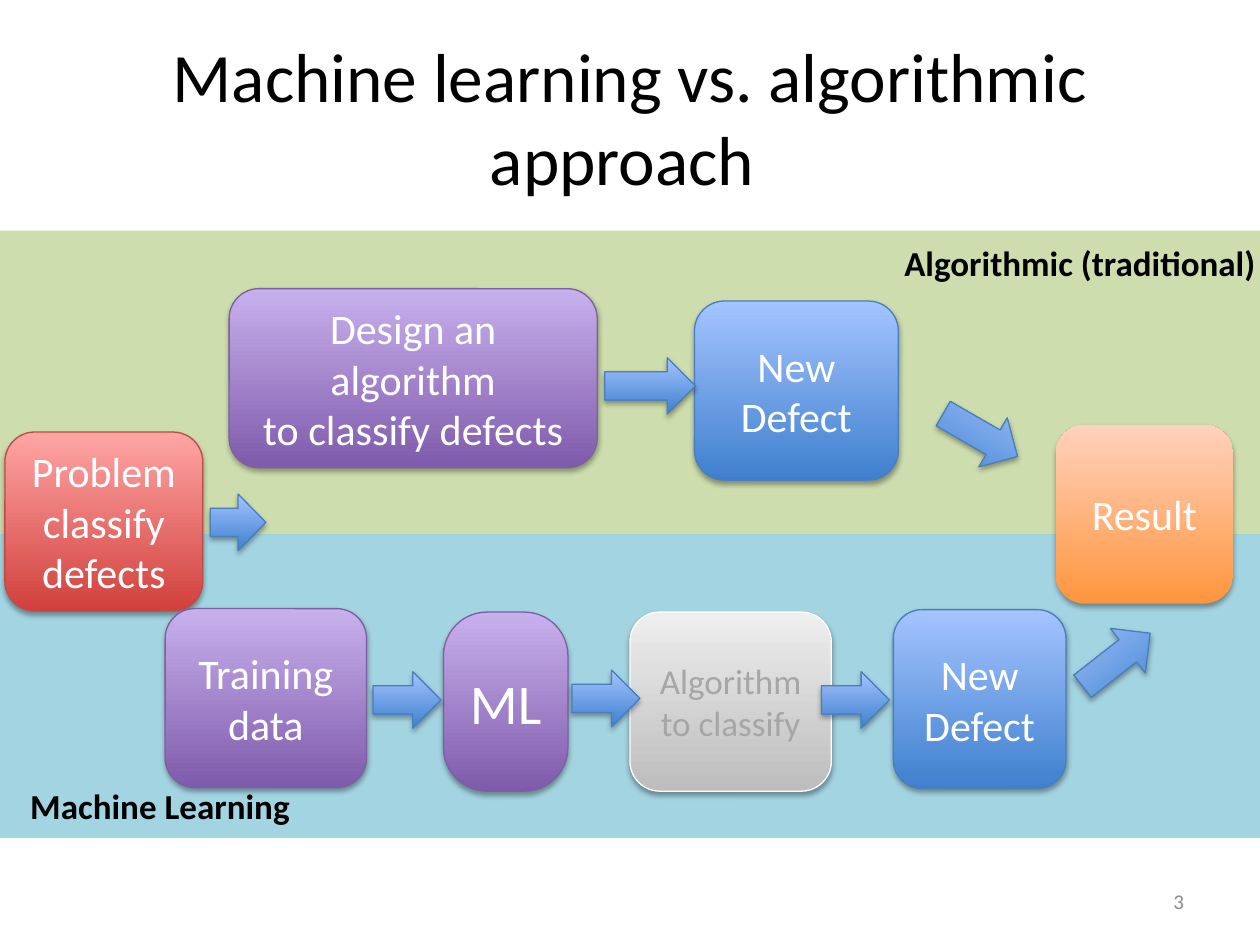
from dataclasses import dataclass
from typing import Optional

from lxml import etree
from pptx import Presentation
from pptx import util as u
from pptx.dml.color import RGBColor
from pptx.enum import shapes, text
from pptx.oxml import ns

FONT = "Calibri"
BLACK = RGBColor(0x00, 0x00, 0x00)
WHITE = RGBColor(0xFF, 0xFF, 0xFF)
GREY = RGBColor(0x8C, 0x8C, 0x8C)
PALE = RGBColor(0xA6, 0xA6, 0xA6)
GREEN = RGBColor(0x9B, 0xBB, 0x59)
TEAL = RGBColor(0x4B, 0xAC, 0xC6)
BOX_H = 3.61
ARROW_H = 1.14
BAND_H = 6.12
BAND_TOP = 4.65


@dataclass(frozen=True)
class Tone:
    low: RGBColor
    high: RGBColor
    edge: Optional[RGBColor] = None


RED = Tone(RGBColor(0xD1, 0x40, 0x3C), RGBColor(0xFF, 0xA6, 0xA5), RGBColor(0xBF, 0x4C, 0x48))
PURPLE = Tone(RGBColor(0x7F, 0x5B, 0xAB), RGBColor(0xC8, 0xB0, 0xED), RGBColor(0x7D, 0x60, 0xA0))
BLUE = Tone(RGBColor(0x3F, 0x80, 0xCE), RGBColor(0xA4, 0xC4, 0xFF), RGBColor(0x4B, 0x7E, 0xBC))
ORANGE = Tone(RGBColor(0xFF, 0x95, 0x3E), RGBColor(0xFF, 0xD2, 0xBD))
SILVER = Tone(RGBColor(0xBD, 0xBD, 0xBD), RGBColor(0xEE, 0xEE, 0xEE), WHITE)


@dataclass(frozen=True)
class Box:
    words: str
    left: float
    top: float
    width: float
    tone: Tone
    size: float = 24
    color: RGBColor = WHITE
    round: Optional[float] = None


@dataclass(frozen=True)
class Arrow:
    left: float
    top: float
    width: float
    turn: float = 0


@dataclass(frozen=True)
class Label:
    words: str
    left: float
    top: float
    width: float
    height: float = 1.12
    size: float = 20
    color: RGBColor = BLACK
    bold: bool = True
    align: text.PP_ALIGN = text.PP_ALIGN.LEFT
    anchor: text.MSO_ANCHOR = text.MSO_ANCHOR.TOP
    wrap: bool = False


BOXES = [
    Box("Problem classify defects", 0.1, 8.71, 3.99, RED),
    Box("Design an algorithm\nto classify defects", 4.62, 5.82, 7.42, PURPLE),
    Box("Result", 21.28, 8.56, 3.58, ORANGE),
    Box("Training data", 3.33, 12.27, 4.06, PURPLE),
    Box("Algorithm to classify", 12.7, 12.34, 4.06, SILVER, 20, PALE),
    Box("New Defect", 14, 6.07, 4.11, BLUE),
    Box("New Defect", 18.01, 12.29, 3.48, BLUE),
    Box("ML", 8.94, 12.34, 2.51, PURPLE, 32, round=0.35),
]
ARROWS = [
    Arrow(7.52, 13.54, 1.37),
    Arrow(18.9, 8.2, 1.73, 30),
    Arrow(4.24, 9.96, 1.12),
    Arrow(16.56, 13.54, 1.37),
    Arrow(12.19, 7.21, 1.83),
    Arrow(11.53, 13.51, 1.37),
    Arrow(21.64, 12.73, 1.73, 321.9),
]
LABELS = [
    Label("Algorithmic (traditional)", 17.98, 4.75, 7.7),
    Label("Machine Learning", 0.36, 15.7, 5.79),
    Label("3", 18.2, 17.65, 5.92, 1.02, 12, GREY, False,
          text.PP_ALIGN.RIGHT, text.MSO_ANCHOR.MIDDLE, True),
]


def write(frame, words: str, size: float, color: RGBColor, bold: bool = False,
          align: text.PP_ALIGN = text.PP_ALIGN.CENTER,
          anchor: text.MSO_ANCHOR = text.MSO_ANCHOR.MIDDLE, wrap: bool = True) -> None:
    frame.text = words
    frame.word_wrap = wrap
    frame.vertical_anchor = anchor
    for para in frame.paragraphs:
        para.alignment = align
        for run in para.runs:
            run.font.name = FONT
            run.font.size = u.Pt(size)
            run.font.bold = bold
            run.font.color.rgb = color


def add_alpha(color, share: int) -> None:
    etree.SubElement(color, ns.qn("a:alpha"), val=str(share * 1000))


def add_shape(slide, kind: shapes.MSO_SHAPE, left: float, top: float,
              width: float, height: float):
    shape = slide.shapes.add_shape(kind, u.Cm(left), u.Cm(top), u.Cm(width), u.Cm(height))
    shape.shadow.inherit = False
    return shape


def paint(shape, tone: Tone) -> None:
    shape.fill.gradient()
    shape.fill.gradient_angle = 90
    for stop, color in zip(shape.fill.gradient_stops, (tone.low, tone.high)):
        stop.color.rgb = color
    if tone.edge is None:
        shape.line.fill.background()
    else:
        shape.line.color.rgb = tone.edge
        shape.line.width = u.Pt(0.75)
    glow = etree.SubElement(
        shape._element.spPr.find(ns.qn("a:effectLst")), ns.qn("a:outerShdw"),
        blurRad=str(u.Pt(3.1)), dist=str(u.Pt(1.8)), dir="5400000", rotWithShape="0")
    add_alpha(etree.SubElement(glow, ns.qn("a:srgbClr"), val=str(BLACK)), 35)


def draw_band(slide, top: float, color: RGBColor, share: int) -> None:
    band = add_shape(slide, shapes.MSO_SHAPE.RECTANGLE, 0, top, 25.4, BAND_H)
    band.fill.solid()
    band.fill.fore_color.rgb = color
    band.line.fill.background()
    add_alpha(band._element.spPr.find(".//" + ns.qn("a:srgbClr")), share)


def draw_box(slide, box: Box) -> None:
    shape = add_shape(slide, shapes.MSO_SHAPE.ROUNDED_RECTANGLE,
                      box.left, box.top, box.width, BOX_H)
    if box.round is not None:
        shape.adjustments[0] = box.round
    paint(shape, box.tone)
    write(shape.text_frame, box.words, box.size, box.color)


def draw_arrow(slide, arrow: Arrow) -> None:
    shape = add_shape(slide, shapes.MSO_SHAPE.RIGHT_ARROW,
                      arrow.left, arrow.top, arrow.width, ARROW_H)
    shape.rotation = arrow.turn
    paint(shape, BLUE)


def draw_label(slide, label: Label) -> None:
    shape = slide.shapes.add_textbox(u.Cm(label.left), u.Cm(label.top),
                                     u.Cm(label.width), u.Cm(label.height))
    write(shape.text_frame, label.words, label.size, label.color, label.bold,
          label.align, label.anchor, label.wrap)


def main() -> None:
    deck = Presentation()
    deck.slide_width, deck.slide_height = u.Cm(25.4), u.Cm(19.05)
    slide = deck.slides.add_slide(deck.slide_layouts[5])
    title = slide.shapes.title
    title.left, title.top = u.Cm(1.27), u.Cm(0.76)
    title.width, title.height = u.Cm(22.86), u.Cm(3.18)
    write(title.text_frame, "Machine learning vs. algorithmic approach ", 39.6, BLACK)
    title.text_frame.auto_size = text.MSO_AUTO_SIZE.NONE
    draw_band(slide, BAND_TOP, GREEN, 49)
    draw_band(slide, BAND_TOP + BAND_H, TEAL, 51)
    for box in BOXES:
        draw_box(slide, box)
    for arrow in ARROWS:
        draw_arrow(slide, arrow)
    for label in LABELS:
        draw_label(slide, label)
    deck.save("out.pptx")


if __name__ == "__main__":
    main()
